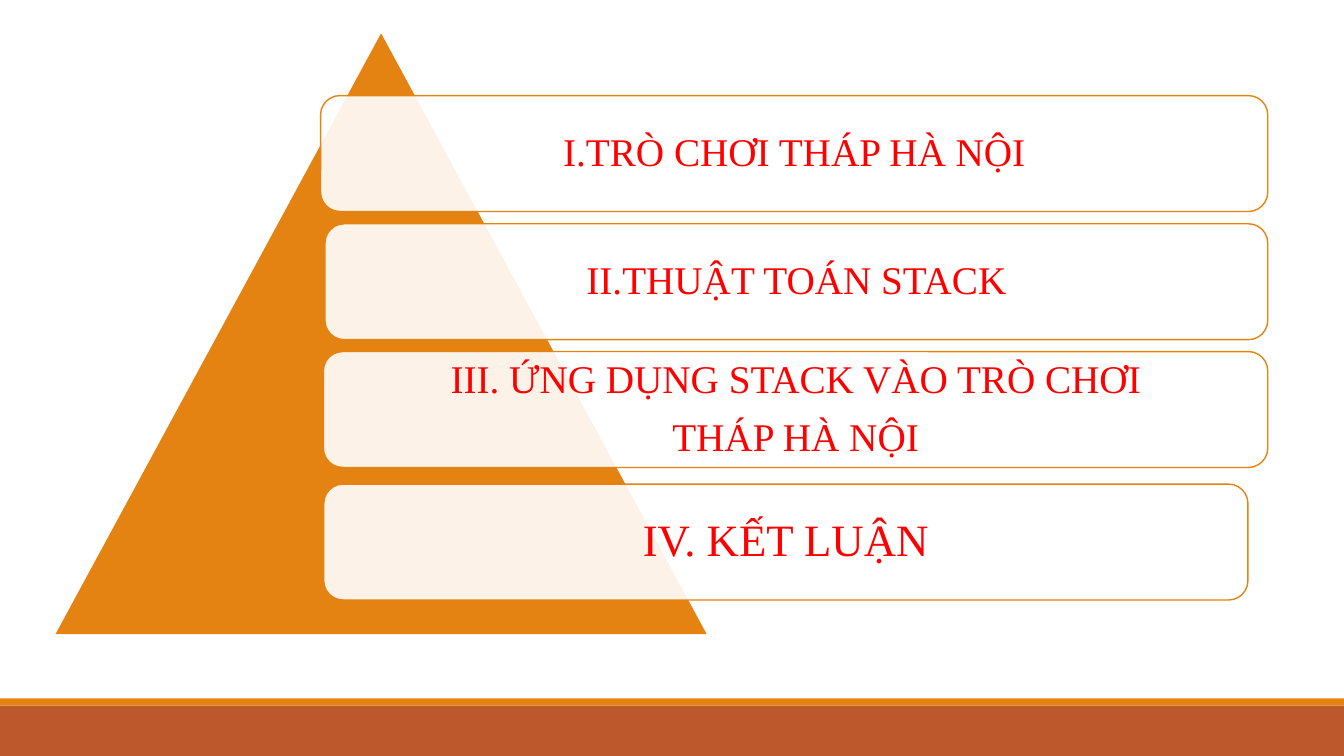
import pptx
import pptx.util
import pptx.dml.color
import pptx.enum.shapes
import pptx.enum.text
import lxml.etree
from pptx.util import Cm

ORANGE, RUST, WHITE, RED = "E48312", "BD582C", "FFFFFF", "FF0000"
SHAPES = pptx.enum.shapes.MSO_SHAPE


def color(hex_string):
    return pptx.dml.color.RGBColor.from_string(hex_string)


def add_filled_shape(kind, left, top, width, height, fill):
    shape = slide.shapes.add_shape(kind, Cm(left), Cm(top), Cm(width), Cm(height))
    shape.shadow.inherit = False
    shape.fill.solid()
    shape.fill.fore_color.rgb = color(fill)
    shape.line.fill.background()
    return shape


deck = pptx.Presentation()
deck.slide_width = Cm(33.87)
deck.slide_height = Cm(19.05)
slide = deck.slides.add_slide(deck.slide_layouts[6])

# Footer bands
add_filled_shape(SHAPES.RECTANGLE, 0, 17.78, 33.87, 1.27, RUST)
add_filled_shape(SHAPES.RECTANGLE, 0, 17.6, 33.87, 0.18, ORANGE)

# Pyramid
add_filled_shape(SHAPES.ISOSCELES_TRIANGLE, 1.4, 0.84, 16.41, 15.14, ORANGE)

# Agenda boxes: left, top, right, text size, lines
agenda = [
    (8.08, 2.41, 31.95, 28, ["I.TRÒ CHƠI THÁP HÀ NỘI"]),
    (8.19, 5.64, 31.95, 28, ["II.THUẬT TOÁN STACK"]),
    (8.15, 8.86, 31.95, 28, ["III. ỨNG DỤNG STACK VÀO TRÒ CHƠI", "THÁP HÀ NỘI"]),
    (8.16, 12.2, 31.45, 32, ["IV. KẾT LUẬN"]),
]
for left, top, right, size, lines in agenda:
    box = add_filled_shape(SHAPES.ROUNDED_RECTANGLE, left, top, right - left, 2.92, WHITE)
    box.line.color.rgb = color(ORANGE)
    box.line.width = pptx.util.Pt(1)

    # Let the pyramid show faintly through the box
    fill_color = box.fill._xPr.find(".//" + pptx.oxml.ns.qn("a:srgbClr"))
    alpha = lxml.etree.SubElement(fill_color, pptx.oxml.ns.qn("a:alpha"))
    alpha.set("val", "90000")

    frame = box.text_frame
    frame.word_wrap = True
    frame.vertical_anchor = pptx.enum.text.MSO_ANCHOR.MIDDLE
    frame.margin_left = frame.margin_right = Cm(0.3)
    frame.margin_top = frame.margin_bottom = Cm(0.3)
    frame.text = "\n".join(lines)
    for para in frame.paragraphs:
        para.alignment = pptx.enum.text.PP_ALIGN.CENTER
        para.line_spacing = 0.9
        para.space_after = pptx.util.Pt(11)
        for span in para.runs:
            span.font.name = "Times New Roman"
            span.font.size = pptx.util.Pt(size)
            span.font.color.rgb = color(RED)

deck.save("out.pptx")
